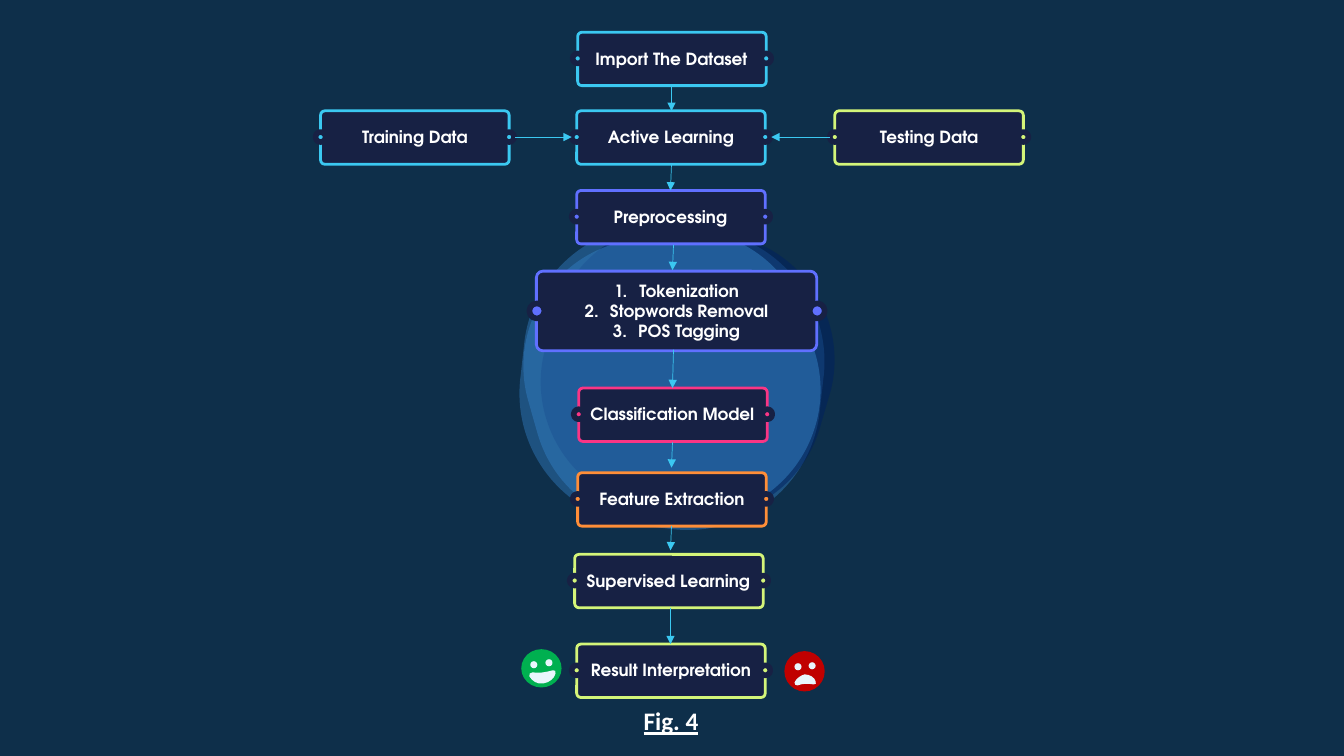
from dataclasses import dataclass

from lxml.etree import SubElement
from pptx import Presentation
from pptx.dml.color import RGBColor
from pptx.enum.shapes import MSO_CONNECTOR, MSO_SHAPE
from pptx.enum.text import MSO_ANCHOR, MSO_AUTO_SIZE, PP_ALIGN
from pptx.oxml.ns import qn
from pptx.util import Pt

PX = 9144  # 100 px to the inch
Point = tuple[int, int]
Box = tuple[int, int, int, int]

NAVY, DARK, WHITE, PALE = "0E2F4A", "172144", "FFFFFF", "E9F6FD"
SKY, LIME, VIOLET, PINK, ORANGE = "3BC8F1", "D4F579", "6070FF", "FA3585", "FF8E38"
FONT = "TeX Gyre Adventor"


@dataclass
class Node:
    lines: list[str]
    x: int
    y: int
    hue: str
    label: int
    w: int = 187
    h: int = 53
    dot: int = 10
    text_h: int = 30


@dataclass
class Blob:
    """Half of an outline; the other half is the same, turned about the centre."""
    half: list[Point]
    total: Point
    hue: str
    alpha: int
    turn: float


@dataclass
class Face:
    head: Box
    hue: str
    eyes: list[Point]
    mouth: list[Point]


@dataclass
class Arrow:
    start: Point
    end: Point


BLOBS = [
    Blob([(802, 310), *[(814, 343)] * 3, (837, 412), (800, 487), (731, 510),
          *[(698, 522)] * 3, (629, 545), (554, 508)], (1333, 749), "2E75B6", 50, 296.2),
    Blob([(735, 501), *[(703, 509)] * 3, (636, 527), (567, 487), (549, 421),
          *[(541, 388)] * 3, (523, 321), (562, 253)], (1364, 736), "002060", 50, 30),
    Blob([(809, 396), *[(801, 428)] * 3, (783, 496), (713, 536), (646, 518),
          *[(613, 509)] * 3, (546, 491), (506, 422)], (1333, 750), "2E75B6", 60, 330),
]
NODES = [
    Node(["Training Data"], 318, 110, SKY, 127),
    Node(["Active Learning"], 572, 110, SKY, 147),
    Node(["Import The Dataset"], 573, 32, SKY, 172),
    Node(["Tokenization", "Stopwords Removal", "POS Tagging"],
         532, 269, VIOLET, 304, 278, 79, 15, 105),
    Node(["Preprocessing"], 572, 189, VIOLET, 134),
    Node(["Supervised Learning"], 570, 550, LIME, 184),
    Node(["Classification Model"], 574, 385, PINK, 184),
    Node(["Feature Extraction"], 573, 469, ORANGE, 167),
    Node(["Testing Data"], 828, 110, LIME, 119),
    Node(["Result Interpretation"], 572, 639, LIME, 181),
]
ARROWS = [
    Arrow((666, 85), (666, 110)), Arrow((511, 136), (567, 136)),
    Arrow((668, 243), (667, 268)), Arrow((668, 347), (667, 385)),
    Arrow((667, 439), (666, 464)), Arrow((666, 522), (665, 546)),
    Arrow((823, 136), (765, 136)), Arrow((666, 163), (665, 189)),
    Arrow((665, 603), (665, 639)),
]
FACES = [
    Face((778, 646, 40, 40), "C00000", [(788, 658), (802, 657)],
         [(791, 680), (789, 680), (788, 679), (788, 677), (790, 673), (794, 670),
          (798, 669), (803, 669), (808, 672), (809, 676), (810, 678), (809, 679),
          (807, 679), (801, 678), (796, 678), (791, 680)]),
    Face((517, 644, 40, 38), "00B050", [(526, 656), (541, 654)],
         [(548, 665), (550, 664), (552, 666), (551, 668), (550, 673), (545, 677),
          (539, 678), (533, 679), (528, 676), (525, 671), (524, 669), (526, 667),
          (528, 667), (535, 668), (541, 667), (548, 665)]),
]


def tint(color: str) -> RGBColor:
    return RGBColor.from_string(color)


def paint(shape, fill: str, line: str = "", width: float = 0) -> None:
    shape.shadow.inherit = False
    shape.fill.solid()
    shape.fill.fore_color.rgb = tint(fill)
    if line:
        shape.line.color.rgb = tint(line)
        shape.line.width = Pt(width)
    else:
        shape.line.fill.background()


def add_form(shapes, kind, box: Box, fill: str, line: str = "", width: float = 0):
    shape = shapes.add_shape(kind, *(n * PX for n in box))
    paint(shape, fill, line, width)
    return shape


def add_curve(shapes, points: list[Point], fill: str):
    """Draw a closed outline; after the start, each three points form one Bezier curve."""
    pen = shapes.build_freeform(*points[0], scale=PX)
    pen.add_line_segments(points[1:], close=False)
    shape = pen.convert_to_shape()
    route = shape.element.find(".//" + qn("a:path"))
    steps = route.findall(qn("a:lnTo"))
    for i in range(0, len(steps), 3):
        curve = SubElement(route, qn("a:cubicBezTo"))
        for step in steps[i:i + 3]:
            curve.append(step[0])
            route.remove(step)
    SubElement(route, qn("a:close"))
    paint(shape, fill)
    return shape


def add_blob(shapes, blob: Blob) -> None:
    across, down = blob.total
    turned = [(across - x, down - y) for x, y in blob.half]
    shape = add_curve(shapes, blob.half + turned + blob.half[:1], blob.hue)
    shape.rotation = blob.turn
    color = shape.element.spPr.find(qn("a:solidFill"))[0]
    SubElement(color, qn("a:alpha"), val=str(blob.alpha * 1000))


def add_text(shapes, box: Box, lines: list[str], font: str, size: int,
             anchor=MSO_ANCHOR.MIDDLE, wrap: bool = False, under: bool = False) -> None:
    frame = shapes.add_textbox(*(n * PX for n in box)).text_frame
    frame.word_wrap = wrap
    frame.auto_size = MSO_AUTO_SIZE.SHAPE_TO_FIT_TEXT
    frame.vertical_anchor = anchor
    for i, line in enumerate(lines):
        para = frame.add_paragraph() if i else frame.paragraphs[0]
        para.alignment = PP_ALIGN.CENTER
        if len(lines) > 1:
            props = para._p.get_or_add_pPr()
            props.set("marL", str(25 * PX))
            props.set("indent", str(-25 * PX))
            SubElement(props, qn("a:buFont"), typeface="+mj-lt")
            SubElement(props, qn("a:buAutoNum"), type="arabicPeriod")
        run = para.add_run()
        run.text = line
        run.font.name = font
        run.font.size = Pt(size)
        run.font.bold = True
        run.font.color.rgb = tint(WHITE)
        if under:
            run.font.underline = True


def add_node(shapes, node: Node) -> None:
    group = shapes.add_group_shape().shapes
    frame = add_form(group, MSO_SHAPE.ROUNDED_RECTANGLE,
                     (node.x, node.y, node.w, node.h), DARK, node.hue, 2)
    frame.adjustments[0] = 0.08
    top = node.y + (node.h - node.dot) // 2
    for edge in (node.x, node.x + node.w):
        add_form(group, MSO_SHAPE.OVAL, (edge - node.dot // 2, top, node.dot, node.dot),
                 node.hue, DARK, 4)
    box = (node.x + (node.w - node.label) // 2, node.y + (node.h - node.text_h) // 2,
           node.label, node.text_h)
    add_text(group, box, node.lines, FONT, 12, wrap=len(node.lines) > 1)


def add_arrow(shapes, arrow: Arrow) -> None:
    ends = (n * PX for n in arrow.start + arrow.end)
    link = shapes.add_connector(MSO_CONNECTOR.STRAIGHT, *ends)
    link.line.color.rgb = tint(SKY)
    link.line.width = Pt(0.5)
    SubElement(link.line._get_or_add_ln(), qn("a:tailEnd"), type="triangle")
    SubElement(link.element.spPr, qn("a:effectLst"))


def add_face(shapes, face: Face) -> None:
    group = shapes.add_group_shape().shapes
    add_form(group, MSO_SHAPE.OVAL, face.head, face.hue)
    add_curve(group, face.mouth, PALE)
    for eye in face.eyes:
        add_form(group, MSO_SHAPE.OVAL, (*eye, 7, 7), PALE)


def main() -> None:
    deck = Presentation()
    deck.slide_width, deck.slide_height = 1333 * PX, 750 * PX
    slide = deck.slides.add_slide(deck.slide_layouts[6])
    slide.background.fill.solid()
    slide.background.fill.fore_color.rgb = tint(NAVY)
    for draw, items in ((add_blob, BLOBS), (add_node, NODES),
                        (add_arrow, ARROWS), (add_face, FACES)):
        for item in items:
            draw(slide.shapes, item)
    add_text(slide.shapes, (432, 695, 467, 40), ["Fig. 4"], "Calibri", 18,
             MSO_ANCHOR.TOP, wrap=True, under=True)
    deck.save("out.pptx")


if __name__ == "__main__":
    main()
